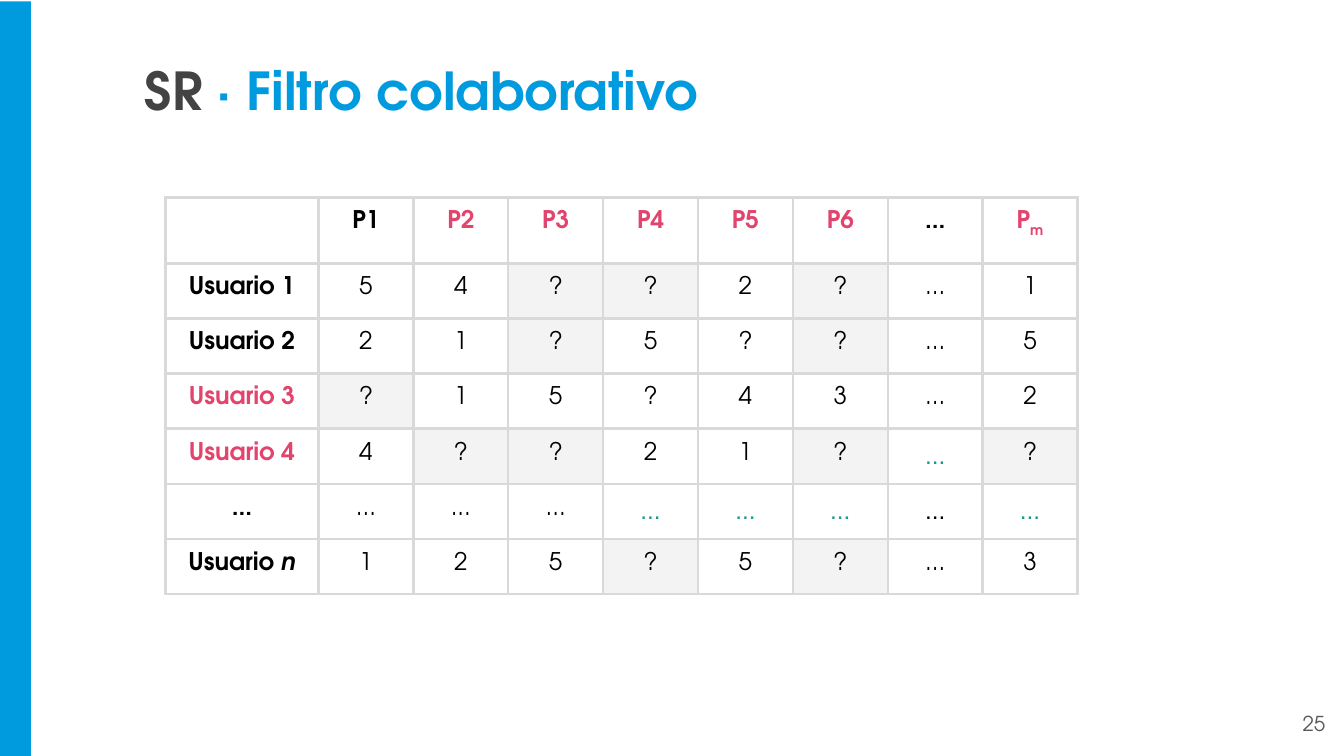
from dataclasses import dataclass

from pptx import Presentation
from pptx.dml.color import RGBColor
from pptx.enum.shapes import MSO_SHAPE as Shape
from pptx.enum.text import PP_ALIGN as Align
from pptx.oxml.xmlchemy import OxmlElement as Element
from pptx.util import Inches, Pt


@dataclass(frozen=True)
class Theme:
    """Colours, fonts and type sizes of the slide."""
    blue: str = "009BDE"
    dark: str = "434343"
    grey: str = "595959"
    black: str = "000000"
    pink: str = "E1446D"
    teal: str = "1A9988"
    border: str = "D9D9D9"
    shade: str = "F3F3F3"
    white: str = "FFFFFF"
    font: str = "TeX Gyre Adventor"
    plain_font: str = "Arial"
    title_size: int = 28
    cell_size: int = 13
    number_size: int = 11
    border_width: float = 1.5


THEME = Theme()
PRODUCTS = ["", "P1", "P2", "P3", "P4", "P5", "P6", "...", "P"]
PINK_LABELS = {"P2", "P3", "P4", "P5", "P6", "P", "Usuario 3", "Usuario 4"}
SHADED, TEAL, PLAIN = "#", "~", "_"
RATINGS = {
    "Usuario 1": "5 4 #? #? 2 #? ... 1",
    "Usuario 2": "2 1 #? 5 ? #? ... 5",
    "Usuario 3": "#? 1 5 ? 4 3 ... 2",
    "Usuario 4": "4 #? #? 2 1 #? ~... #?",
    "...": "... ... ... ~... ~... ~... _... ~...",
    "Usuario ": "1 2 5 #? 5 #? ... 3",
}


def write(frame, text, size, color=THEME.black, font=THEME.font, bold=False,
          italic=False, align=Align.LEFT, baseline=None):
    """Append a formatted run to the first paragraph of a text frame."""
    paragraph = frame.paragraphs[0]
    paragraph.alignment = align
    run = paragraph.add_run()
    run.text = text
    run.font.name, run.font.size = font, Pt(size)
    run.font.bold, run.font.italic = bold, italic
    run.font.color.rgb = RGBColor.from_string(color)
    if baseline is not None:
        run.font._element.set("baseline", str(baseline * 1000))


def add_text_frame(slide, left, top, width, height):
    """Add a wrapping text box with even insets and return its frame."""
    box = slide.shapes.add_textbox(*map(Inches, (left, top, width, height)))
    frame = box.text_frame
    frame.word_wrap = True
    frame.margin_left = frame.margin_right = Inches(0.1)
    frame.margin_top = frame.margin_bottom = Inches(0.1)
    return frame


def add_side_band(slide, left, top, width, height):
    """Draw the coloured band along the slide edge."""
    band = slide.shapes.add_shape(
        Shape.RECTANGLE, *map(Inches, (left, top, width, height)))
    band.shadow.inherit = False
    band.fill.solid()
    band.fill.fore_color.rgb = RGBColor.from_string(THEME.blue)
    band.line.fill.background()


def add_title(slide, left, top, width, height):
    """Write the two-colour title."""
    frame = add_text_frame(slide, left, top, width, height)
    write(frame, "SR ", THEME.title_size, THEME.dark, bold=True)
    write(frame, "· Filtro colaborativo", THEME.title_size, THEME.blue, bold=True)


def add_page_number(slide, left, top, width, height):
    """Write the page number, aligned right."""
    frame = add_text_frame(slide, left, top, width, height)
    write(frame, "25", THEME.number_size, THEME.grey, align=Align.RIGHT)


def style_cell(cell, fill=THEME.white, top=0.1, bottom=0.09):
    """Set the insets, borders and fill of a cell."""
    cell.margin_left = cell.margin_right = Inches(0.1)
    cell.margin_top, cell.margin_bottom = Inches(top), Inches(bottom)
    properties = cell._tc.get_or_add_tcPr()
    for side in ("L", "R", "T", "B"):
        line = Element(f"a:ln{side}")
        line.set("w", str(Pt(THEME.border_width)))
        solid = Element("a:solidFill")
        color = Element("a:srgbClr")
        color.set("val", THEME.border)
        solid.append(color)
        line.append(solid)
        properties.append(line)
    cell.fill.solid()
    cell.fill.fore_color.rgb = RGBColor.from_string(fill)


def fill_label(cell, label):
    """Write a bold row or column label with its index, if it has one."""
    if not label:
        style_cell(cell, top=0.05, bottom=0.05)
        return
    style_cell(cell)
    color = THEME.pink if label in PINK_LABELS else THEME.black
    style = dict(size=THEME.cell_size, color=color, bold=True, align=Align.CENTER)
    write(cell.text_frame, label, **style)
    if label == "P":
        write(cell.text_frame, "m", baseline=-25, **style)
    elif label == "Usuario ":
        write(cell.text_frame, "n", italic=True, **style)


def fill_rating(cell, rating):
    """Write a rating, shaded or recoloured by its leading mark."""
    mark, text = rating[0], rating.lstrip(SHADED + TEAL + PLAIN)
    style_cell(cell, THEME.shade if mark == SHADED else THEME.white)
    write(cell.text_frame, text, THEME.cell_size,
          color=THEME.teal if mark == TEAL else THEME.black,
          font=THEME.plain_font if mark in (TEAL, PLAIN) else THEME.font,
          align=Align.CENTER)


def add_ratings_table(slide, left, top, width, height):
    """Build the user by product matrix."""
    label_width, row_height = 1.14, 0.41
    shape = slide.shapes.add_table(
        len(RATINGS) + 1, len(PRODUCTS), *map(Inches, (left, top, width, height)))
    table = shape.table
    table.horz_banding = table.first_row = False
    for column in table.columns:
        column.width = Inches((width - label_width) / (len(PRODUCTS) - 1))
    table.columns[0].width = Inches(label_width)
    for row in table.rows:
        row.height = Inches(row_height)
    table.rows[0].height = Inches(height - row_height * len(RATINGS))

    for column, product in enumerate(PRODUCTS):
        fill_label(table.cell(0, column), product)
    for row, (user, ratings) in enumerate(RATINGS.items(), start=1):
        fill_label(table.cell(row, 0), user)
        for column, rating in enumerate(ratings.split(), start=1):
            fill_rating(table.cell(row, column), rating)


def main():
    """Build and save the slide."""
    deck = Presentation()
    deck.slide_width = Inches(10)
    deck.slide_height = deck.slide_width * 9 // 16
    slide = deck.slides.add_slide(deck.slide_layouts[6])
    add_side_band(slide, 0, 0.01, 0.23, 5.62)
    add_title(slide, 0.98, 0.33, 8.02, 0.64)
    add_page_number(slide, 9.36, 5.2, 0.6, 0.43)
    add_ratings_table(slide, 1.23, 1.47, 6.79, 2.95)
    deck.save("out.pptx")


if __name__ == "__main__":
    main()
